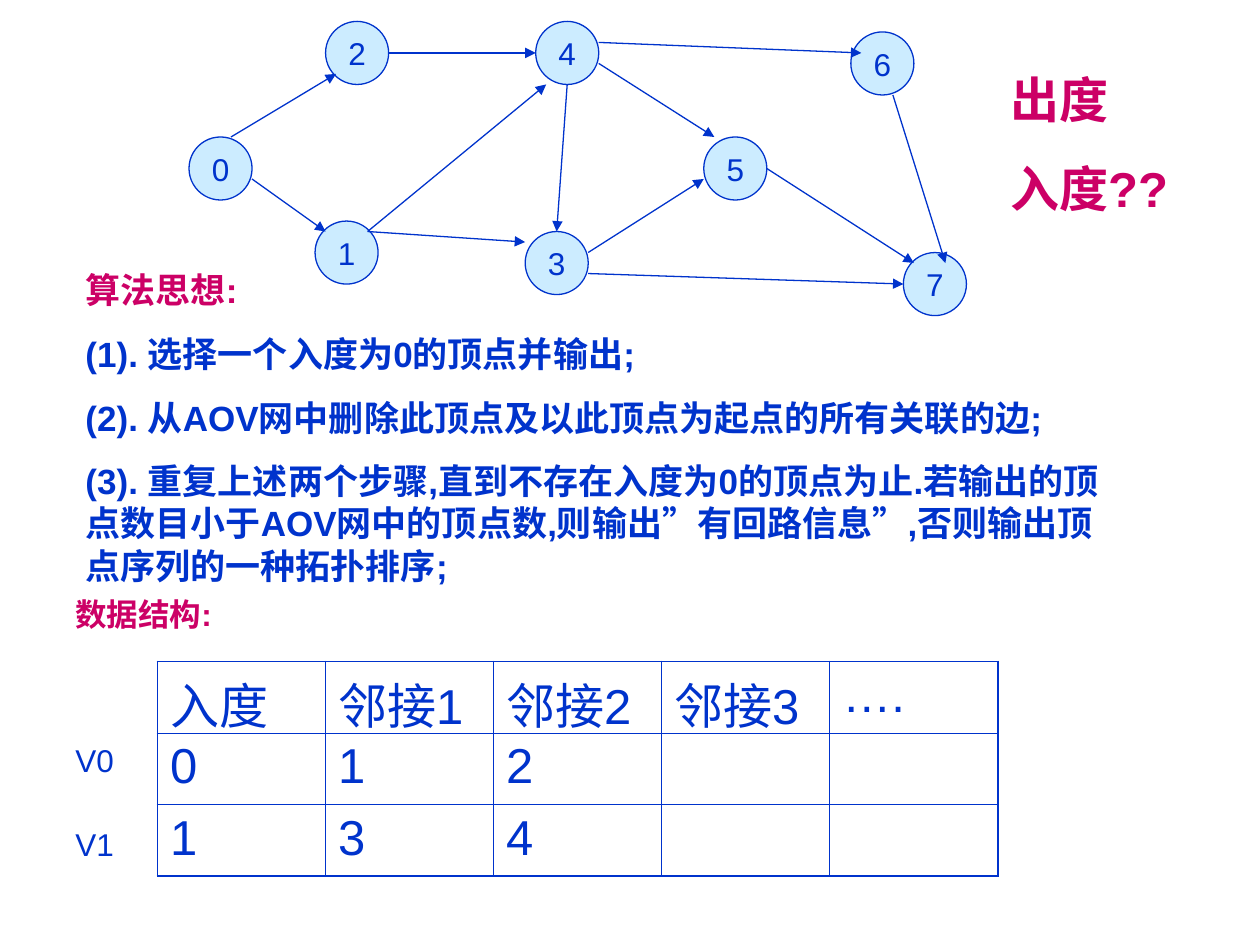
from pptx import Presentation
from pptx.dml.color import RGBColor
from pptx.enum.shapes import MSO_CONNECTOR, MSO_SHAPE
from pptx.enum.text import MSO_ANCHOR, MSO_AUTO_SIZE, PP_ALIGN
from pptx.oxml.ns import qn
from pptx.util import Inches, Pt
from lxml.etree import SubElement

BLUE = RGBColor(0x00, 0x33, 0xCC)
PALE_BLUE = RGBColor(0xCC, 0xEC, 0xFF)
MAGENTA = RGBColor(0xCC, 0x00, 0x66)

GRAPH_COLUMNS = 74
VERTEX_SIZE = 6
VERTICES = {
    "0": (0, 11), "2": (13, 0), "1": (12, 19), "4": (33, 0),
    "3": (32, 20), "5": (49, 11), "6": (63, 1), "7": (68, 22),
}
EDGES = [
    ("0", (4, 0), "2", (1, 5)),
    ("0", (6, 4), "1", (1, 1)),
    ("2", (6, 3), "4", (0, 3)),
    ("1", (5, 1), "4", (1, 6)),
    ("1", (5, 1), "3", (0, 1)),
    ("4", (3, 6), "3", (3, 0)),
    ("4", (6, 4), "5", (1, 0)),
    ("3", (6, 2), "5", (0, 4)),
    ("5", (6, 3), "7", (1, 1)),
    ("6", (4, 6), "7", (4, 1)),
    ("3", (6, 4), "7", (0, 3)),
    ("4", (6, 2), "6", (1, 2)),
]
ALGORITHM_STEPS = [
    "(1). 选择一个入度为0的顶点并输出;",
    "(2). 从AOV网中删除此顶点及以此顶点为起点的所有关联的边;",
    "(3). 重复上述两个步骤,直到不存在入度为0的顶点为止.若输出的顶点数目小于AOV网中的顶点数,"
    "则输出”有回路信息”,否则输出顶点序列的一种拓扑排序;",
]
ADJACENCY_ROWS = [
    ["入度", "邻接1", "邻接2", "邻接3", "…."],
    ["0", "1", "2", "", ""],
    ["1", "3", "4", "", ""],
]


def write_text(paragraph, text, size=18, color=BLUE, bold=False, before=0, align=PP_ALIGN.LEFT):
    paragraph.alignment = align
    paragraph.space_before = Pt(before)
    run = paragraph.add_run()
    run.text = text
    run.font.name = "Arial"
    run.font.size = Pt(size)
    run.font.bold = bold
    run.font.color.rgb = color


def add_text_block(slide, box, lines, **text_format):
    frame = slide.shapes.add_textbox(*box).text_frame
    frame.word_wrap = True
    frame.auto_size = MSO_AUTO_SIZE.SHAPE_TO_FIT_TEXT
    for index, (text, color) in enumerate(lines):
        paragraph = frame.add_paragraph() if index else frame.paragraphs[0]
        write_text(paragraph, text, color=color, **text_format)


def add_vertex(slide, label, left, top, size):
    vertex = slide.shapes.add_shape(MSO_SHAPE.OVAL, left, top, size, size)
    vertex.shadow.inherit = False
    vertex.fill.solid()
    vertex.fill.fore_color.rgb = PALE_BLUE
    vertex.line.color.rgb = BLUE
    vertex.line.width = Pt(0.75)
    vertex.text_frame.word_wrap = False
    vertex.text_frame.vertical_anchor = MSO_ANCHOR.MIDDLE
    write_text(vertex.text_frame.paragraphs[0], label, align=PP_ALIGN.CENTER)


def add_arrow(slide, start, end):
    arrow = slide.shapes.add_connector(MSO_CONNECTOR.STRAIGHT, *start, *end)
    arrow.line.color.rgb = BLUE
    arrow.line.width = Pt(0.75)
    properties = arrow.element.spPr
    SubElement(properties.find(qn("a:ln")), qn("a:tailEnd"), type="triangle")
    SubElement(properties, qn("a:effectLst"))


def add_graph(slide, left, top, width):
    unit = width / GRAPH_COLUMNS

    def locate(label, offset=(0, 0)):
        column, row = VERTICES[label]
        return (round(left + (column + offset[0]) * unit),
                round(top + (row + offset[1]) * unit))

    for label in VERTICES:
        add_vertex(slide, label, *locate(label), round(VERTEX_SIZE * unit))
    for source, source_offset, target, target_offset in EDGES:
        add_arrow(slide, locate(source, source_offset), locate(target, target_offset))


def set_border(cell, side, width):
    border = SubElement(cell._tc.get_or_add_tcPr(), qn(f"a:{side}"), w=str(Pt(width)))
    fill = SubElement(border, qn("a:solidFill"))
    SubElement(fill, qn("a:srgbClr"), val=str(BLUE))


def add_adjacency_table(slide, left, top, width, height):
    row_count, column_count = len(ADJACENCY_ROWS), len(ADJACENCY_ROWS[0])
    table = slide.shapes.add_table(row_count, column_count, left, top, width, height).table
    table.first_row = False
    table.horz_banding = False
    for row, values in enumerate(ADJACENCY_ROWS):
        for column, value in enumerate(values):
            cell = table.cell(row, column)
            outer_sides = {
                "lnL": column == 0,
                "lnR": column == column_count - 1,
                "lnT": row == 0,
                "lnB": row == row_count - 1,
            }
            for side, outer in outer_sides.items():
                set_border(cell, side, 1.08 if outer else 0.45)
            cell.fill.background()
            if value:
                write_text(cell.text_frame.paragraphs[0], value, size=28, before=7)


def main():
    presentation = Presentation()
    presentation.slide_width = Inches(10)
    presentation.slide_height = Inches(7.5)
    slide = presentation.slides.add_slide(presentation.slide_layouts[6])

    add_graph(slide, Inches(1.5), Inches(0.17), Inches(6.17))
    add_text_block(
        slide, (Inches(7.92), Inches(0.5), Inches(1.75), Inches(1.28)),
        [("出度", MAGENTA), ("入度??", MAGENTA)], size=28, bold=True, before=17.5)
    add_text_block(
        slide, (Inches(0.58), Inches(2.08), Inches(8.42), Inches(2.62)),
        [("算法思想:", MAGENTA)] + [(step, BLUE) for step in ALGORITHM_STEPS],
        size=20, bold=True, before=12.5)
    add_text_block(
        slide, (Inches(0.5), Inches(4.67), Inches(8.5), Inches(0.86)),
        [("数据结构:", MAGENTA)], bold=True, before=11.2)
    add_adjacency_table(slide, Inches(1.25), Inches(5.25), Inches(6.67), Inches(1.7))
    for label, top in (("V0", 5.83), ("V1", 6.5)):
        add_text_block(
            slide, (Inches(0.5), Inches(top), Inches(0.67), Inches(0.4)),
            [(label, BLUE)], before=11.2)

    presentation.save("out.pptx")


if __name__ == "__main__":
    main()
